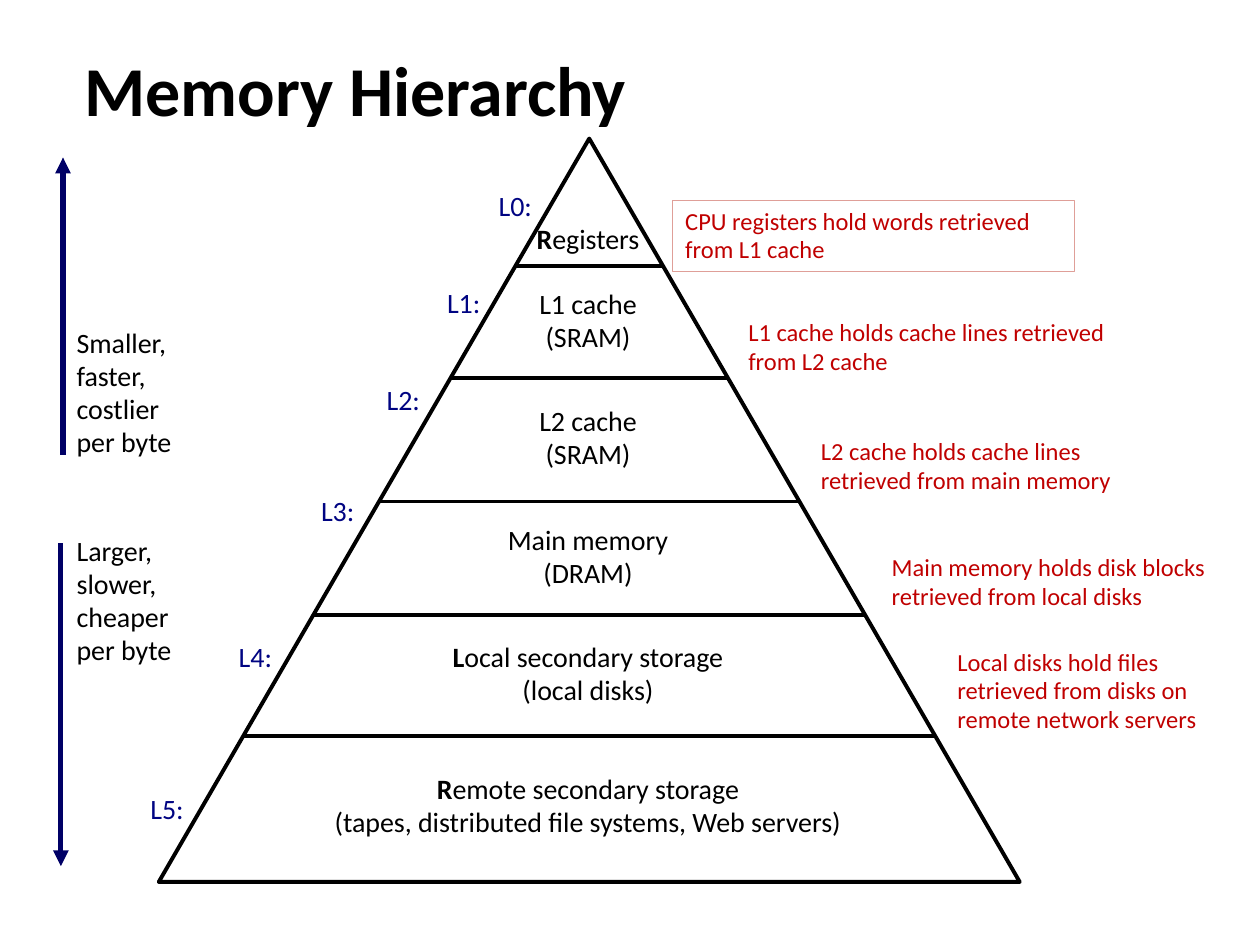
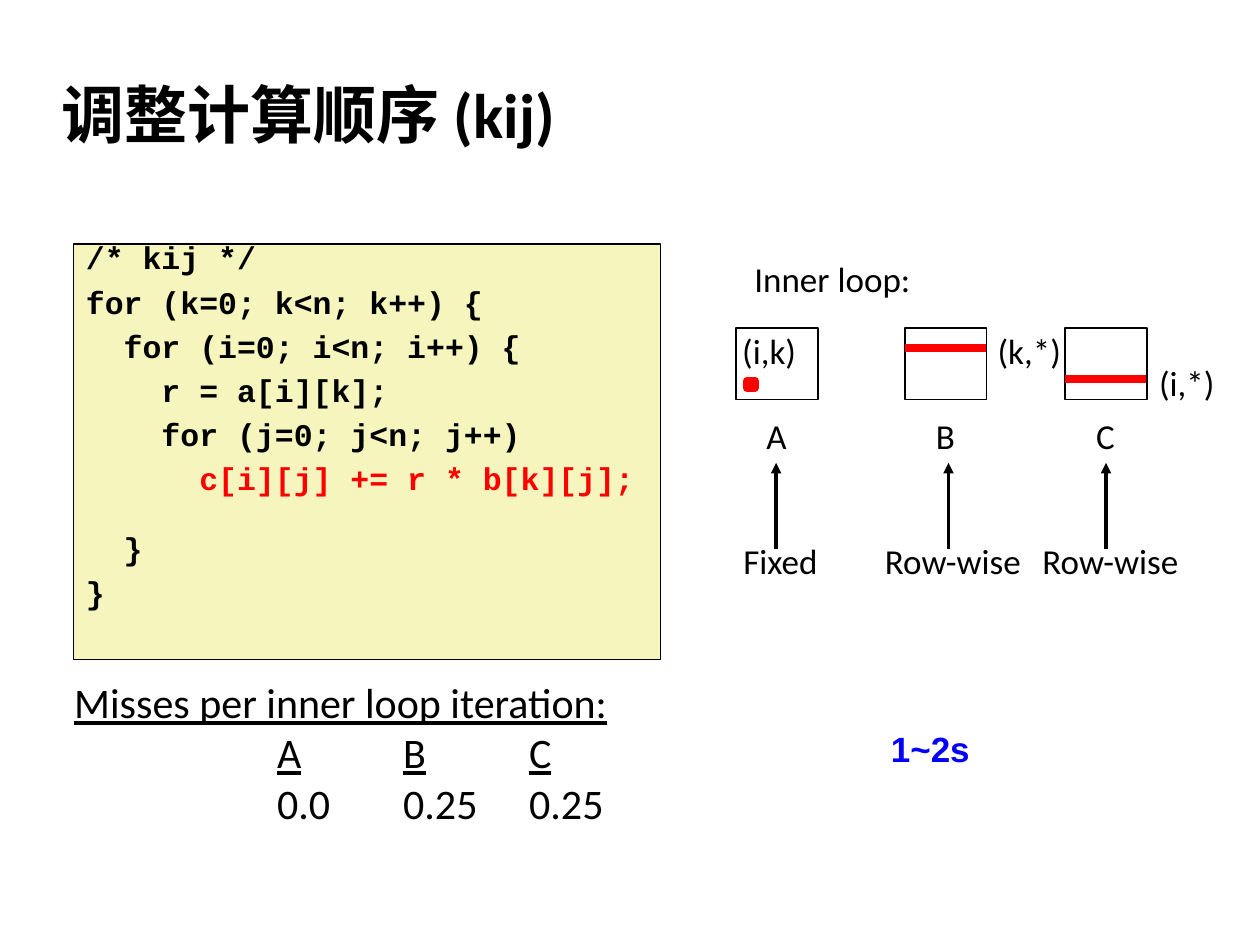
from lxml.etree import SubElement
from pptx import Presentation
from pptx.dml.color import RGBColor
from pptx.enum.shapes import MSO_CONNECTOR, MSO_SHAPE
from pptx.enum.text import MSO_ANCHOR, MSO_AUTO_SIZE, PP_ALIGN
from pptx.oxml.ns import qn
from pptx.util import Pt

BLACK = RGBColor(0, 0, 0)
WHITE = RGBColor(255, 255, 255)
NAVY = RGBColor(0, 0, 0x66)
BLUE = RGBColor(0, 0x04, 0x82)
BRIGHT = RGBColor(0, 0, 255)
RED = RGBColor(255, 0, 0)
DARK = RGBColor(0xC0, 0, 0)
PINK = RGBColor(0xDF, 0x9F, 0x98)
CREAM = RGBColor(0xF6, 0xF5, 0xBD)

LEFT, MID = PP_ALIGN.LEFT, PP_ALIGN.CENTER
INSETS = dict(margin_left=Pt(7.2), margin_right=Pt(7.2),
              margin_top=Pt(3.6), margin_bottom=Pt(3.6),
              auto_size=MSO_AUTO_SIZE.NONE)
FONT = dict(name="Calibri", size=16, bold=False, underline=False, color=BLACK)


class Deck:
    """Holds the shared style and draws elements on the current slide."""

    def __init__(self):
        self.prs = Presentation()
        self.prs.slide_width, self.prs.slide_height = Pt(720), Pt(540)

    def start(self, title, box, size):
        self.slide = self.prs.slides.add_slide(self.prs.slide_layouts[5])
        self.shapes = self.slide.shapes
        head = self.shapes.title
        head.left, head.top, head.width, head.height = map(Pt, box)
        self.fill_text(head, [title], size=size, bold=True)

    def fill_text(self, shape, lines, align=LEFT, anchor=MSO_ANCHOR.MIDDLE,
                  wrap=True, para=None, tabs=(), **look):
        frame = shape.text_frame
        self.apply(frame, dict(INSETS, word_wrap=wrap, vertical_anchor=anchor))
        for num, line in enumerate(lines):
            item = frame.add_paragraph() if num else frame.paragraphs[0]
            self.apply(item, dict(para or {}, alignment=align))
            if not num:
                item.space_before = Pt(0)
            if tabs:
                stops = SubElement(item._p.get_or_add_pPr(), qn("a:tabLst"))
                for stop in tabs:
                    SubElement(stops, qn("a:tab"), pos=str(Pt(stop)), algn="l")
            for words, extra in [(line, {})] if isinstance(line, str) else line:
                run = item.add_run()
                run.text = words
                fmt = {**FONT, **look, **extra}
                run.font.color.rgb = fmt.pop("color")
                self.apply(run.font, dict(fmt, size=Pt(fmt["size"])))
        return frame

    def apply(self, target, fmt):
        for key, value in fmt.items():
            setattr(target, key, value)

    def text(self, lines, box, **look):
        return self.fill_text(self.shapes.add_textbox(*map(Pt, box)), lines, **look)

    def shape(self, kind, box, fill, edge, width):
        item = self.shapes.add_shape(kind, *map(Pt, box))
        item.shadow.inherit = False
        if fill is None:
            item.fill.background()
        else:
            item.fill.solid()
            item.fill.fore_color.rgb = fill
        item.line.color.rgb = edge
        item.line.width = Pt(width)
        return item

    def line(self, ends, color, width, arrow=False):
        item = self.shapes.add_connector(MSO_CONNECTOR.STRAIGHT, *map(Pt, ends))
        item.line.color.rgb = color
        item.line.width = Pt(width)
        props = item._element.spPr
        if arrow:
            SubElement(props.find(qn("a:ln")), qn("a:tailEnd"), type="triangle")
        SubElement(props, qn("a:effectLst"))


def initial(word):
    return [(word[0], dict(bold=True)), (word[1:], {})]


def pyramid(deck):
    deck.start("Memory Hierarchy", (41, 19.5, 678, 62), 40)
    left, top, width, height = 90.7, 79.2, 492, 424.8
    apex = left + width / 2
    deck.shape(MSO_SHAPE.ISOSCELES_TRIANGLE, (left, top, width, height),
               WHITE, BLACK, 2.25)
    for y in (152, 216, 286.5, 351.5, 420.5):
        half = (y - top) / height * width / 2
        deck.line((apex - half, y, apex + half, y), BLACK, 2)

    tight = dict(line_spacing=0.98)
    levels = [
        ([initial("Registers")], 73, 136.8, 278, 105),
        (["L1 cache", "(SRAM)"], 70, 183.6, 248.5, 160.5),
        (["L2 cache", "(SRAM)"], 70, 250.6, 214, 216),
        (["Main memory", "(DRAM)"], 106, 318.2, 176.5, 279.5),
        ([initial("Local secondary storage"), "(local disks)"],
         170, 385.2, 129.5, 363),
        ([initial("Remote secondary storage"),
          "(tapes, distributed file systems, Web servers)"],
         306, 460.8, 79, 449.5),
    ]
    for num, (lines, wide, y, x, high) in enumerate(levels):
        tall = 7 + 19 * len(lines)
        deck.text(lines, (336 - wide / 2, y - tall / 2, wide, tall),
                  align=MID, wrap=False, para=tight)
        deck.text([f"L{num}:"], (x, high, 33, 26), align=MID, wrap=False,
                  para=tight, color=BLUE)

    deck.shape(MSO_SHAPE.RECTANGLE, (384.5, 114.5, 229.5, 40.5),
               None, PINK, 0.75)
    notes = [
        ("CPU registers hold words retrieved from L1 cache",
         (384.5, 114.5, 229.5, 40.5)),
        ("L1 cache holds cache lines retrieved from L2 cache",
         (420.5, 178, 223, 40.5)),
        ("L2 cache holds cache lines retrieved from main memory",
         (462, 246, 206.5, 40.5)),
        ("Main memory holds disk blocks retrieved from local disks",
         (502.5, 312.5, 216, 40.5)),
        ("Local disks hold files retrieved from disks on remote network servers",
         (540, 366.5, 162.5, 57)),
    ]
    for words, box in notes:
        deck.text([words], box, para=tight, size=14, color=DARK)

    trends = [("Smaller, faster, costlier", 183, (36, 260, 36, 90)),
              ("Larger, slower, cheaper", 302, (34.8, 310.5, 34.8, 495))]
    for words, y, ends in trends:
        deck.line(ends, NAVY, 3, arrow=True)
        deck.text([*words.split(), "per byte"], (36.7, y, 69, 83),
                  wrap=False, para=tight)


def loops(deck):
    deck.start("调整计算顺序 (kij)", (28, 34.5, 598, 60), 36)
    high = dict(anchor=MSO_ANCHOR.TOP)
    code = ["/* kij */",
            "for (k=0; k<n; k++) {",
            "  for (i=0; i<n; i++) {",
            "    r = a[i][k];",
            "    for (j=0; j<n; j++)",
            [("      c[i][j] += r * b[k][j];", dict(color=RED))],
            "  }",
            "}"]
    panel = deck.shape(MSO_SHAPE.RECTANGLE, (42, 139.5, 335.5, 237.5),
                       CREAM, BLACK, 1)
    frame = deck.fill_text(panel, code, name="Courier New", size=18, bold=True,
                           para=dict(line_spacing=0.65, space_before=Pt(11.2)),
                           **high)
    frame.paragraphs[6].space_before = Pt(26)

    label = dict(size=20, wrap=False, **high)
    deck.text(["Inner loop:"], (424, 143.5, 104, 31), **label)
    columns = [("A", 420.5, 443.5, "Fixed", 57.5),
               ("B", 517, 542, "Row-wise", 93),
               ("C", 608.5, 632, "Row-wise", 93)]
    for name, x, stem, access, wide in columns:
        deck.shape(MSO_SHAPE.RECTANGLE, (x, 187.3, 46.8, 41), WHITE, BLACK, 1)
        deck.text([name], (x + 10.5, 233.3, 25.5, 31), align=MID, **label)
        deck.line((stem, 313.5, stem, 264.5), BLACK, 2, arrow=True)
        deck.text([access], (stem + 2.5 - wide / 2, 304.5, wide, 31),
                  align=MID, **label)
    for x, y in ((517, 198.7), (608.5, 216.7)):
        deck.line((x, y, x + 46.5, y), RED, 4.5)
    deck.shape(MSO_SHAPE.RECTANGLE, (427, 217.5, 4.3, 4.3), RED, RED, 4.5)
    for words, x, y, wide in (("(i,k)", 417, 185, 45.5),
                              ("(k,*)", 563, 185, 50.5),
                              ("(i,*)", 655.2, 203, 46)):
        deck.text([words], (x, y, wide, 31), **label)

    heads = [part for name in "ABC"
             for part in (("\t", {}), (name, dict(underline=True)))]
    deck.text([[("Misses per inner loop iteration:", dict(underline=True))],
               heads, "\t0.0\t0.25\t0.25"],
              (35.3, 383, 409, 96.5), size=24, tabs=(116, 188, 260), **high)
    deck.text(["1~2s"], (502, 412, 102, 31.5), name="Arial", size=20,
              bold=True, color=BRIGHT, **high)


def main():
    deck = Deck()
    pyramid(deck)
    loops(deck)
    deck.prs.save("out.pptx")


if __name__ == "__main__":
    main()
